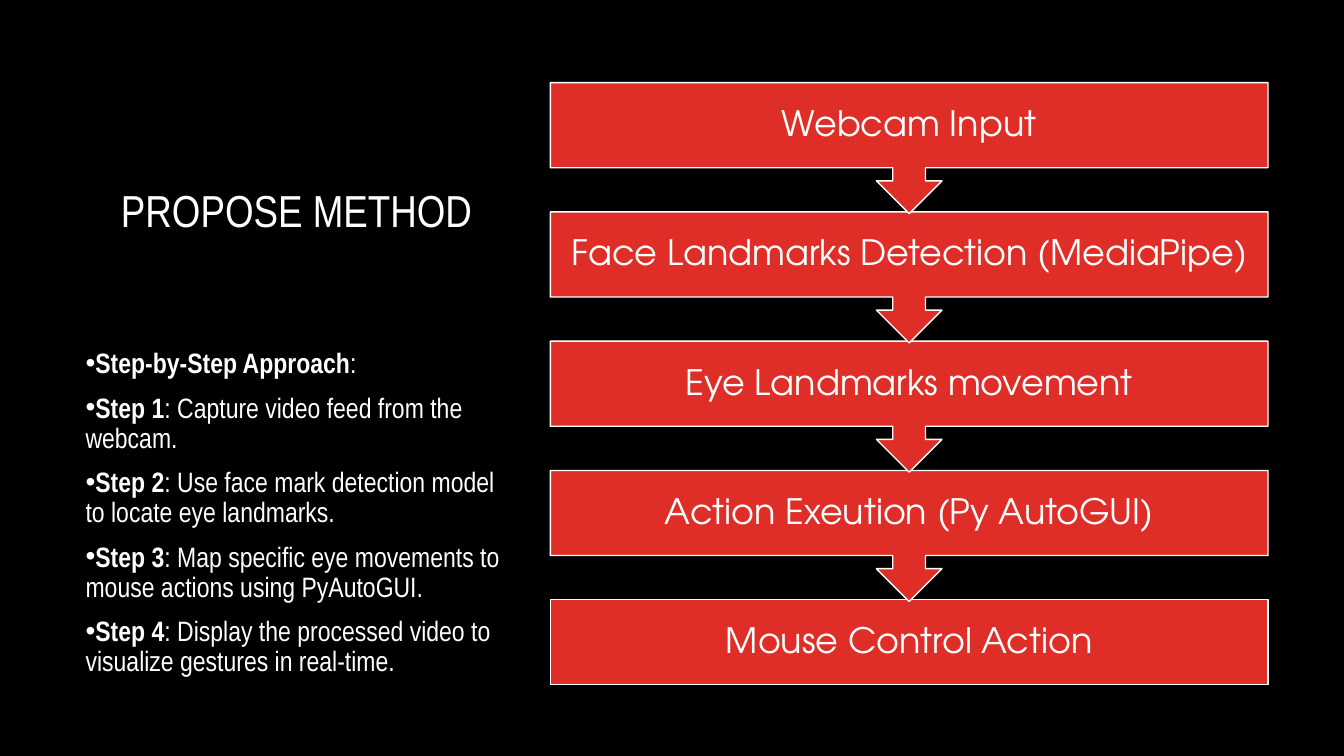
from pptx import Presentation
from pptx.dml.color import RGBColor
from pptx.enum.shapes import MSO_SHAPE as Shape
from pptx.enum.text import MSO_ANCHOR as Anchor, MSO_AUTO_SIZE as AutoSize, PP_ALIGN as Align
from pptx.oxml.ns import qn
from pptx.util import Inches, Pt
from lxml.etree import SubElement

STAGES = [
    "Webcam Input",
    "Face Landmarks Detection (MediaPipe)",
    "Eye Landmarks movement",
    "Action Exeution (Py AutoGUI)",
    "Mouse Control Action",
]
STEPS = [
    ("Step-by-Step Approach", ":"),
    ("Step 1", ": Capture video feed from the webcam."),
    ("Step 2", ": Use face mark detection model to locate eye landmarks."),
    ("Step 3", ": Map specific eye movements to mouse actions using PyAutoGUI."),
    ("Step 4", ": Display the processed video to visualize gestures in real-time."),
]
TITLE_AREA = (8.25, 6.67, 30.9, 25.33)
STEPS_AREA = (5.63, 45.6, 33.75, 45.07)
STAGE_LEFT, STAGE_TOP, STAGE_WIDTH = 40.95, 10.93, 53.4
STAGE_PITCH, BOX_HEIGHT, CALLOUT_HEIGHT = 17.1, 11.26, 17.33


def color(value):
    return RGBColor.from_string(value)


def apply(target, values):
    for name, value in values.items():
        setattr(target, name, value)


class MethodSlide:
    black, white, red = "000000", "FFFFFF", "DF2E28"
    heading = {"name": "Arial Narrow", "size": Pt(32), "bold": False}
    body = {"name": "Arial Narrow", "size": Pt(20)}
    label = {"name": "TeX Gyre Adventor", "size": Pt(25)}

    def __init__(self, deck):
        self.deck = deck
        self.page = deck.slides.add_slide(deck.slide_layouts[5])
        fill = self.page.background.fill
        fill.solid()
        fill.fore_color.rgb = color(self.black)

    def place(self, left, top, width, height):
        across, down = self.deck.slide_width / 100, self.deck.slide_height / 100
        return [round(v) for v in (left * across, top * down, width * across, height * down)]

    def span(self, para, text, font, **extra):
        span = para.add_run()
        span.text = text
        apply(span.font, {**font, **extra})
        span.font.color.rgb = color(self.white)

    def title(self, text, area):
        box = self.page.shapes.title
        apply(box, dict(zip(("left", "top", "width", "height"), self.place(*area))))
        apply(box.text_frame, {"vertical_anchor": Anchor.BOTTOM, "word_wrap": True,
                               "auto_size": AutoSize.NONE})
        para = box.text_frame.paragraphs[0]
        apply(para, {"alignment": Align.LEFT, "line_spacing": 0.9})
        self.span(para, text, self.heading)

    def stage(self, text, preset, area):
        box = self.page.shapes.add_shape(preset, *self.place(*area))
        box.shadow.inherit = False
        box.fill.solid()
        box.fill.fore_color.rgb = color(self.red)
        box.line.color.rgb = color(self.white)
        box.line.width = Pt(1)
        apply(box.text_frame, {"vertical_anchor": Anchor.MIDDLE, "word_wrap": True})
        para = box.text_frame.paragraphs[0]
        apply(para, {"alignment": Align.CENTER, "line_spacing": 0.9})
        self.span(para, text, self.label)

    def bullets(self, entries, area):
        frame = self.page.shapes.add_textbox(*self.place(*area)).text_frame
        frame.word_wrap = True
        for index, (lead, rest) in enumerate(entries):
            para = frame.add_paragraph() if index else frame.paragraphs[0]
            apply(para, {"line_spacing": 0.9, "space_before": Pt(10)})
            properties = para._p.get_or_add_pPr()
            properties.set("marL", "0")
            properties.set("indent", "0")
            SubElement(properties, qn("a:buFont"), typeface="Arial")
            SubElement(properties, qn("a:buChar"), char="•")
            self.span(para, lead, self.body, bold=True)
            self.span(para, rest, self.body, bold=False)


def main():
    deck = Presentation()
    apply(deck, {"slide_width": Inches(13.33), "slide_height": Inches(7.5)})
    slide = MethodSlide(deck)
    slide.title("PROPOSE METHOD", TITLE_AREA)
    last = len(STAGES) - 1
    for index, text in reversed(list(enumerate(STAGES))):
        preset, height = ((Shape.RECTANGLE, BOX_HEIGHT) if index == last
                          else (Shape.DOWN_ARROW_CALLOUT, CALLOUT_HEIGHT))
        top = STAGE_TOP + index * STAGE_PITCH
        slide.stage(text, preset, (STAGE_LEFT, top, STAGE_WIDTH, height))
    slide.bullets(STEPS, STEPS_AREA)
    deck.save("out.pptx")


if __name__ == "__main__":
    main()
